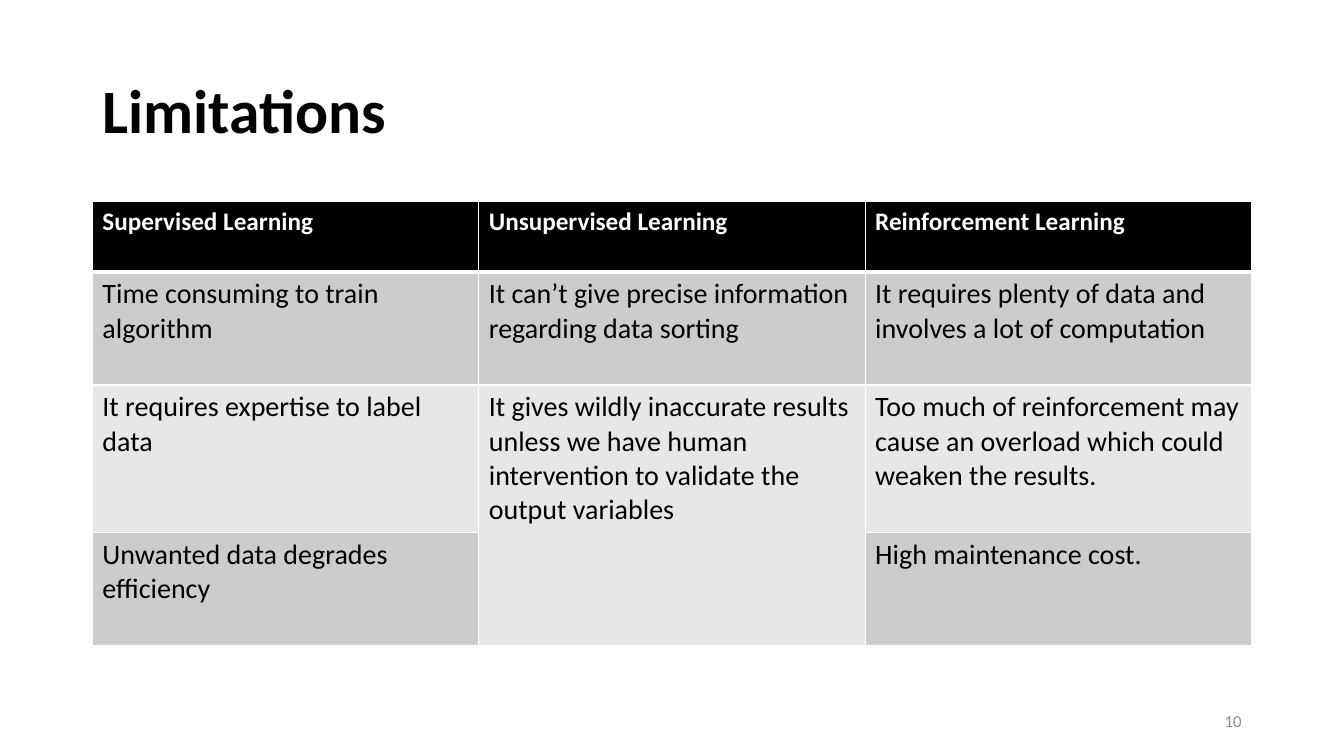
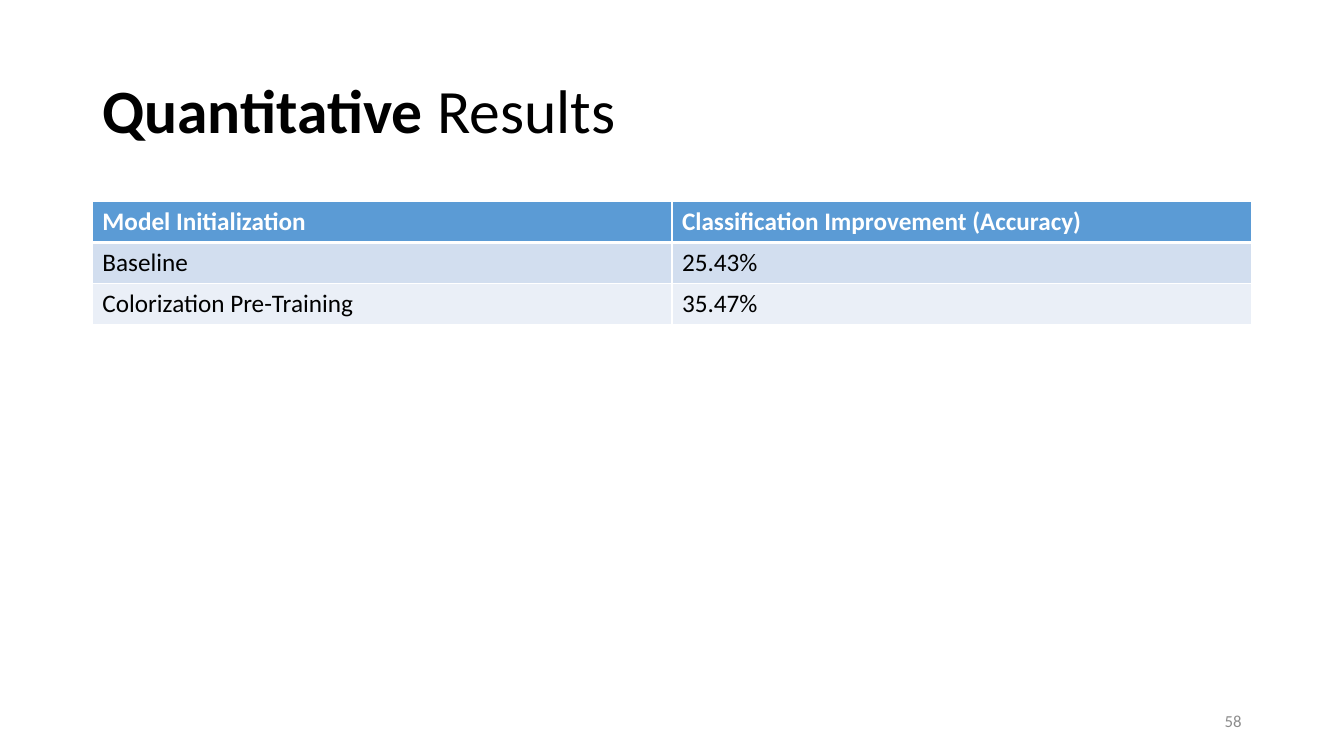
from dataclasses import dataclass

from lxml import etree
from pptx import Presentation
from pptx.dml.color import RGBColor
from pptx.enum import text
from pptx.oxml import ns
from pptx.util import Pt


@dataclass(frozen=True)
class Theme:
    font: str = "Calibri"
    ink: str = "000000"
    paper: str = "FFFFFF"
    muted: str = "8C8C8C"
    title_size: int = 44
    table_size: int = 18
    large_size: int = 20
    number_size: int = 12
    rule: int = 1
    header_rule: int = 3


@dataclass(frozen=True)
class Palette:
    header: str
    bands: tuple


@dataclass(frozen=True)
class Box:
    left: float
    top: float
    width: float
    height: float

    def lengths(self):
        return Pt(self.left), Pt(self.top), Pt(self.width), Pt(self.height)


THEME = Theme()
GREY = Palette("000000", ("CCCCCC", "E7E7E7"))
BLUE = Palette("5B9BD5", ("D2DEEF", "EAEFF7"))
TITLE_BOX = Box(66, 28.75, 828, 104.4)
TABLE_BOX = Box(66, 144, 828, 317.2)
NUMBER_BOX = Box(678, 500.5, 216, 28.75)


def add_span(para, words, size, color=THEME.ink, bold=False):
    span = para.add_run()
    span.text = words
    span.font.name = THEME.font
    span.font.size = Pt(size)
    span.font.bold = bold
    span.font.color.rgb = RGBColor.from_string(color)


def add_text_frame(page, box):
    frame = page.shapes.add_textbox(*box.lengths()).text_frame
    frame.word_wrap = True
    frame.vertical_anchor = text.MSO_ANCHOR.MIDDLE
    return frame.paragraphs[0]


def add_title(page, box, strong, plain=""):
    para = add_text_frame(page, box)
    para.line_spacing = 0.9
    add_span(para, strong, THEME.title_size, bold=True)
    if plain:
        add_span(para, plain, THEME.title_size)


def add_page_number(page, box, number):
    para = add_text_frame(page, box)
    para.alignment = text.PP_ALIGN.RIGHT
    add_span(para, str(number), THEME.number_size, THEME.muted)


def set_borders(cell, top, bottom):
    properties = cell._tc.get_or_add_tcPr()
    widths = {"lnL": THEME.rule, "lnR": THEME.rule, "lnT": top, "lnB": bottom}
    for side, width in widths.items():
        line = etree.SubElement(properties, ns.qn(f"a:{side}"), w=str(Pt(width)))
        fill = etree.SubElement(line, ns.qn("a:solidFill"))
        etree.SubElement(fill, ns.qn("a:srgbClr"), val=THEME.paper)


def style_cell(cell, row, words, palette, body_size):
    is_header = row == 0
    set_borders(
        cell,
        top=THEME.header_rule if row == 1 else THEME.rule,
        bottom=THEME.header_rule if is_header else THEME.rule,
    )
    color = palette.header if is_header else palette.bands[(row - 1) % 2]
    cell.fill.solid()
    cell.fill.fore_color.rgb = RGBColor.from_string(color)
    if words:
        add_span(
            cell.text_frame.paragraphs[0],
            words,
            THEME.table_size if is_header else body_size,
            THEME.paper if is_header else THEME.ink,
            is_header,
        )


def add_banded_table(page, box, rows, heights, palette, body_size):
    table = page.shapes.add_table(len(rows), len(rows[0]), *box.lengths()).table
    for column in table.columns:
        column.width = Pt(box.width / len(rows[0]))
    for row, (entries, height) in enumerate(zip(rows, heights)):
        table.rows[row].height = Pt(height)
        for column, words in enumerate(entries):
            cell = table.cell(row, column)
            style_cell(cell, row, words, palette, body_size)
            if words is None:
                table.cell(row - 1, column).merge(cell)


def add_table_page(deck, title, number, rows, heights, palette, body_size):
    page = deck.slides.add_slide(deck.slide_layouts[6])
    add_title(page, TITLE_BOX, *title)
    box = Box(TABLE_BOX.left, TABLE_BOX.top, TABLE_BOX.width, sum(heights))
    add_banded_table(page, box, rows, heights, palette, body_size)
    add_page_number(page, NUMBER_BOX, number)


LIMITATIONS = [
    ("Supervised Learning", "Unsupervised Learning", "Reinforcement Learning"),
    (
        "Time consuming to train algorithm",
        "It can’t give precise information regarding data sorting",
        "It requires plenty of data and involves a lot of computation",
    ),
    (
        "It requires expertise to label data",
        "It gives wildly inaccurate results unless we have human "
        "intervention to validate the output variables",
        "Too much of reinforcement may cause an overload which could "
        "weaken the results.",
    ),
    ("Unwanted data degrades efficiency", None, "High maintenance cost."),
]

RESULTS = [
    ("Model Initialization", "Classification Improvement (Accuracy)"),
    ("Baseline", "25.43%"),
    ("Colorization Pre-Training", "35.47%"),
]

deck = Presentation()
deck.slide_width = Pt(960)
deck.slide_height = Pt(540)
add_table_page(
    deck, ("Limitations",), 10, LIMITATIONS,
    (50.4, 80.6, 105.6, 80.6), GREY, THEME.large_size,
)
add_table_page(
    deck, ("Quantitative ", "Results"), 58, RESULTS,
    (29.2,) * len(RESULTS), BLUE, THEME.table_size,
)
deck.save("out.pptx")
